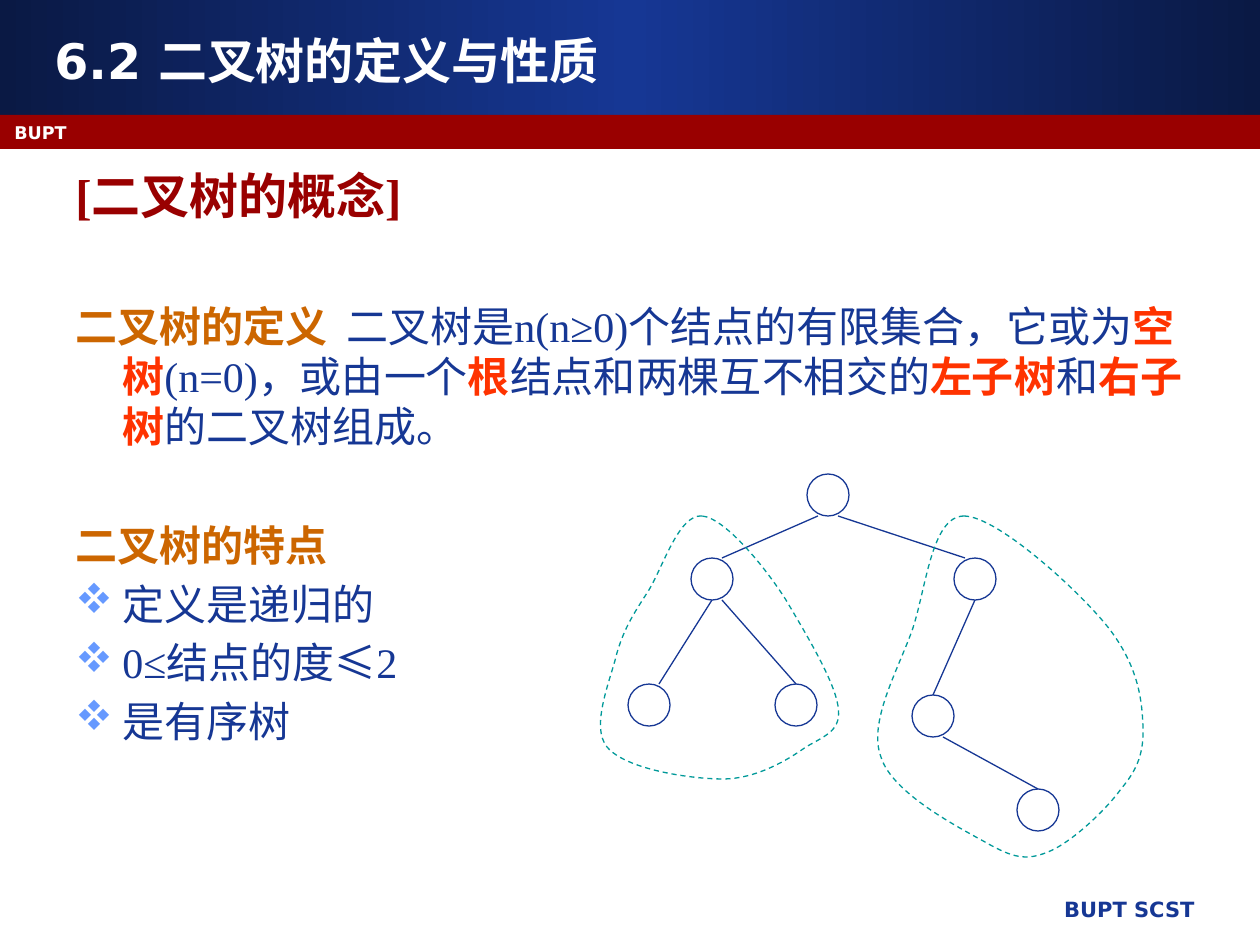
import pptx
import pptx.util
import pptx.dml.color
import pptx.enum.dml
import pptx.enum.shapes
import pptx.enum.text
import pptx.oxml.ns
from lxml import etree

SCALE = 914400 / 126  # EMU per px
COLORS = {
    "navy": "163794", "red": "990000", "white": "FFFFFF",
    "orange": "CC6600", "bright": "FF3300", "bullet": "6699FF",
    "teal": "009999",
}
SANS, SERIF = "DejaVu Sans", "Times New Roman"
SHAPE = pptx.enum.shapes.MSO_SHAPE
ALIGN = pptx.enum.text.PP_ALIGN
ANCHOR = pptx.enum.text.MSO_ANCHOR
NODE = 42   # circle diameter
HANG = 47   # hanging indent

# Tree: left and top of each node, then parent, shift, child, shift
NODES = {
    "root": (807, 474), "a": (691, 558), "a1": (628, 684),
    "a2": (775, 684), "b2": (1017, 789), "b1": (912, 695), "b": (954, 558),
}
EDGES = [
    ("root", -10, "a", 10), ("root", 10, "b", -10), ("a", 0, "a1", 10),
    ("a", 10, "a2", 0), ("b", 0, "b1", 0), ("b1", 10, "b2", 0),
]
# Subtree outlines: a start, then two controls and an end per curve
LOOPS = [
    [(702, 516), (679, 514), (663, 567), (649, 590),
     (635, 612), (625, 626), (617, 653), (611, 679), (590, 726), (607, 747),
     (625, 769), (689, 779), (723, 779), (756, 779), (788, 760), (806, 747),
     (827, 735), (842, 730), (838, 706), (834, 680), (806, 634), (786, 600),
     (765, 567), (725, 518), (702, 516)],
    [(964, 516), (931, 516), (926, 591), (912, 631),
     (897, 672), (868, 723), (881, 757), (892, 793), (958, 827), (985, 842),
     (1013, 858), (1026, 861), (1048, 852), (1071, 843), (1106, 810), (1121, 789),
     (1138, 769), (1144, 752), (1143, 726), (1142, 701), (1139, 669), (1111, 631),
     (1084, 595), (998, 516), (964, 516)],
]
# Body: space before, bullet, size, runs of text, colour, bold
BODY = [
    (0, False, 28, [("[二叉树的概念]", "red", True)]),
    (43.5, False, 24, [
        ("二叉树的定义  ", "orange", True),
        ("二叉树是n(n≥0)个结点的有限集合，它或为", "navy", False),
        ("空树", "bright", True),
        ("(n=0)，或由一个", "navy", False),
        ("根", "bright", True),
        ("结点和两棵互不相交的", "navy", False),
        ("左子树", "bright", True),
        ("和", "navy", False),
        ("右子树", "bright", True),
        ("的二叉树组成。", "navy", False),
    ]),
    (39, False, 24, [("二叉树的特点", "orange", True)]),
    (4.7, True, 24, [("定义是递归的", "navy", False)]),
    (4.7, True, 24, [("0≤结点的度≤2", "navy", False)]),
    (4.7, True, 24, [("是有序树", "navy", False)]),
]


def px(n):
    return pptx.util.Emu(round(n * SCALE))


def rgb(name):
    return pptx.dml.color.RGBColor.from_string(COLORS[name])


def add(parent, tag, **attrs):
    return etree.SubElement(parent, pptx.oxml.ns.qn(tag), **attrs)


def add_bar(slide, top, height):
    bar = slide.shapes.add_shape(SHAPE.RECTANGLE, 0, px(top), px(1260), px(height))
    bar.shadow.inherit = False
    bar.line.fill.background()
    return bar


def shade_bar(bar):
    """Blue gradient, dark at both ends."""
    bar.fill.gradient()
    stops = bar.fill._fill._gradFill.gsLst
    for stop in list(stops):
        stops.remove(stop)
    for pos in (0, 50000, 100000):
        stop = add(stops, "a:gs", pos=str(pos))
        clr = add(stop, "a:srgbClr", val=COLORS["navy"])
        if pos != 50000:
            add(clr, "a:gamma")
            add(clr, "a:shade", val="46275")
            add(clr, "a:invGamma")
    bar.fill.gradient_angle = 0


def add_box(slide, left, top, width, height, anchor=ANCHOR.TOP):
    box = slide.shapes.add_textbox(px(left), px(top), px(width), px(height))
    frame = box.text_frame
    frame.word_wrap = True
    frame.vertical_anchor = anchor
    return frame


def add_run(para, text, size, face, color, bold):
    run = para.add_run()
    run.text = text
    font = run.font
    font.size, font.name, font.bold = pptx.util.Pt(size), face, bold
    font.color.rgb = rgb(color)
    run._r.get_or_add_rPr().set("lang", "zh-CN")


def add_body(slide):
    frame = add_box(slide, 63, 159, 1134, 723)
    for i, (space, bullet, size, runs) in enumerate(BODY):
        para = frame.add_paragraph() if i else frame.paragraphs[0]
        if space:
            para.space_before = pptx.util.Pt(space)
        ppr = para._p.get_or_add_pPr()
        ppr.set("marL", str(px(HANG)))
        ppr.set("indent", str(px(-HANG)))
        if bullet:
            add(add(ppr, "a:buClr"), "a:srgbClr", val=COLORS["bullet"])
            # In this symbol font the letter v is the four-diamond mark
            add(ppr, "a:buFont", typeface="Wingdings", charset="2")
            add(ppr, "a:buChar", char="v")
        for text, color, bold in runs:
            add_run(para, text, size, SERIF, color, bold)


def set_line(shape, color):
    shape.line.color.rgb = rgb(color)
    shape.line.width = pptx.util.Pt(0.75)


def add_node(slide, left, top):
    node = slide.shapes.add_shape(SHAPE.OVAL, px(left), px(top), px(NODE), px(NODE))
    node.shadow.inherit = False
    node.fill.background()
    set_line(node, "navy")


def add_edge(slide, parent, out, child, into):
    (x1, y1), (x2, y2) = NODES[parent], NODES[child]
    mid = NODE // 2
    edge = slide.shapes.add_connector(
        pptx.enum.shapes.MSO_CONNECTOR.STRAIGHT,
        px(x1 + mid + out), px(y1 + NODE), px(x2 + mid + into), px(y2))
    set_line(edge, "navy")
    add(edge._element.spPr, "a:effectLst")


def add_loop(slide, knots):
    """Closed outline whose straight sides are turned into cubic curves."""
    ends = knots[3::3]
    build = slide.shapes.build_freeform(*knots[0], scale=SCALE)
    build.add_line_segments(ends, close=True)
    loop = build.convert_to_shape()
    left, top = min(x for x, y in ends), min(y for x, y in ends)
    sides = list(loop._element.iter(pptx.oxml.ns.qn("a:lnTo")))
    for i, side in enumerate(sides):
        curve = etree.Element(pptx.oxml.ns.qn("a:cubicBezTo"))
        for x, y in knots[3 * i + 1:3 * i + 4]:
            add(curve, "a:pt", x=str(x - left), y=str(y - top))
        side.getparent().replace(side, curve)
    loop.shadow.inherit = False
    loop.fill.background()
    set_line(loop, "teal")
    loop.line.dash_style = pptx.enum.dml.MSO_LINE.DASH


def main():
    deck = pptx.Presentation()
    deck.slide_width, deck.slide_height = px(1260), px(945)
    slide = deck.slides.add_slide(deck.slide_layouts[6])

    # Header bars
    shade_bar(add_bar(slide, 0, 115))
    band = add_bar(slide, 115, 34)
    band.fill.solid()
    band.fill.fore_color.rgb = rgb("red")

    # Footer, band label and title
    foot = add_box(slide, 530, 890, 677, 44).paragraphs[0]
    foot.alignment = ALIGN.RIGHT
    add_run(foot, "BUPT SCST", 12, SANS, "navy", True)
    label = add_box(slide, 2, 116, 1166, 32).paragraphs[0]
    add_run(label, "BUPT", 10, SANS, "white", True)
    title = add_box(slide, 42, 21, 1166, 78, ANCHOR.MIDDLE).paragraphs[0]
    add_run(title, "6.2 二叉树的定义与性质", 28, SANS, "white", True)

    add_body(slide)

    # Tree with its two subtrees outlined
    for spot in NODES.values():
        add_node(slide, *spot)
    for edge in EDGES:
        add_edge(slide, *edge)
    for knots in LOOPS:
        add_loop(slide, knots)

    deck.save("out.pptx")


if __name__ == "__main__":
    main()
